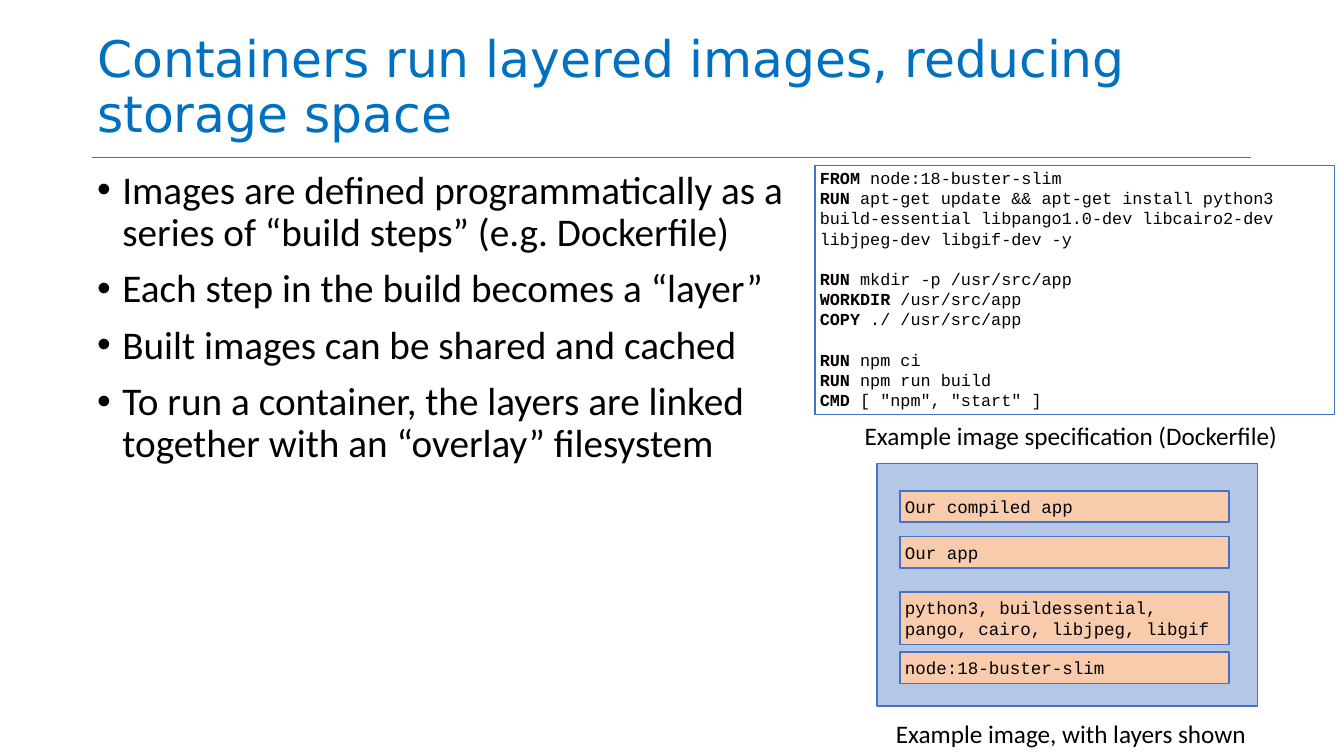
from pptx import Presentation
from pptx.dml.color import RGBColor
from pptx.enum.shapes import MSO_CONNECTOR, MSO_SHAPE
from pptx.enum.text import MSO_ANCHOR, PP_ALIGN
from pptx.oxml.ns import qn
from pptx.util import Inches, Pt
from lxml.etree import SubElement

BLUE, TITLE, BLACK = "4472C4", "0070C0", "000000"
PANEL, LAYER = "B4C7E7", "F8CBAD"
SANS, MONO, HEAD = "Calibri", "Courier New", "DejaVu Sans"

POINTS = [
    "Images are defined programmatically as a series of “build steps” (e.g. Dockerfile)",
    "Each step in the build becomes a “layer”",
    "Built images can be shared and cached",
    "To run a container, the layers are linked together with an “overlay” filesystem",
]

BLOCKS = [
    ["FROM node:18-buster-slim",
     "RUN apt-get update && apt-get install python3 build-essential "
     "libpango1.0-dev libcairo2-dev libjpeg-dev libgif-dev -y"],
    ["RUN mkdir -p /usr/src/app",
     "WORKDIR /usr/src/app",
     "COPY ./ /usr/src/app"],
    ["RUN npm ci",
     "RUN npm run build",
     'CMD [ "npm", "start" ]'],
]

LAYERS = [
    (12.94, 0.62, "node:18-buster-slim"),
    (11.75, 1.04, "python3, buildessential, pango, cairo, libjpeg, libgif"),
    (10.65, 0.62, "Our app"),
    (9.74, 0.62, "Our compiled app"),
]


def color(code):
    return RGBColor.from_string(code)


class Deck:
    def __init__(self, slide):
        self.slide = slide
        self.shapes = slide.shapes

    def style(self, para, size, font, ink=BLACK):
        para.alignment = PP_ALIGN.LEFT
        for run in para.runs:
            run.font.size = Pt(size)
            run.font.name = font
            run.font.color.rgb = color(ink)

    def frame(self, shape, anchor, pad=0.1):
        frame = shape.text_frame
        frame.word_wrap = True
        frame.vertical_anchor = anchor
        frame.margin_left = frame.margin_right = Inches(0.1)
        frame.margin_top = frame.margin_bottom = Inches(pad)
        return frame

    def text(self, area, words, size, font, ink=BLACK, anchor=MSO_ANCHOR.MIDDLE):
        box = self.shapes.add_textbox(*map(Inches, area))
        frame = self.frame(box, anchor)
        frame.text = words
        self.style(frame.paragraphs[0], size, font, ink)
        return frame

    def title(self, area, words):
        frame = self.text(area, words, 72, HEAD, TITLE, MSO_ANCHOR.BOTTOM)
        frame.paragraphs[0].line_spacing = 0.9

    def bullets(self, area, items):
        frame = self.text(area, "\n".join(items), 56, SANS, anchor=MSO_ANCHOR.TOP)
        for index, para in enumerate(frame.paragraphs):
            props = para._p.get_or_add_pPr()
            props.set("marL", str(Inches(0.5)))
            props.set("indent", str(Inches(-0.5)))
            SubElement(props, qn("a:buFont")).set("typeface", "Arial")
            SubElement(props, qn("a:buChar")).set("char", "•")
            para.line_spacing = 0.9
            para.space_before = Pt(20 if index else 0)
            self.style(para, 56, SANS)

    def rule(self, left, top, right):
        line = self.shapes.add_connector(
            MSO_CONNECTOR.STRAIGHT, Inches(left), Inches(top), Inches(right), Inches(top))
        line.line.color.rgb = color(BLUE)
        line.line.width = Pt(1)
        SubElement(line._element.spPr, qn("a:effectLst"))

    def rect(self, area, fill=None, group=None):
        shapes = group.shapes if group else self.shapes
        box = shapes.add_shape(MSO_SHAPE.RECTANGLE, *map(Inches, area))
        box.shadow.inherit = False
        if fill:
            box.fill.solid()
            box.fill.fore_color.rgb = color(fill)
        else:
            box.fill.background()
        box.line.color.rgb = color(BLUE)
        box.line.width = Pt(2)
        return box

    def code(self, area, blocks):
        frame = self.frame(self.rect(area), MSO_ANCHOR.TOP, 0.05)
        lines = [(row, line) for block in blocks for row, line in enumerate(block)]
        for index, (row, line) in enumerate(lines):
            para = frame.add_paragraph() if index else frame.paragraphs[0]
            key, rest = line.split(" ", 1)
            para.text = key
            para.add_run().text = " " + rest
            self.style(para, 24, MONO)
            para.runs[0].font.bold = True
            para.space_before = Pt(28.8 if index and row == 0 else 0)

    def stack(self, area, layers):
        group = self.shapes.add_group_shape()
        self.rect(area, PANEL, group)
        for top, height, words in layers:
            box = self.rect((17.86, top, 6.53, height), LAYER, group)
            frame = self.frame(box, MSO_ANCHOR.MIDDLE)
            frame.text = words
            self.style(frame.paragraphs[0], 25, MONO)


def main():
    show = Presentation()
    show.slide_width = Inches(26.67)
    show.slide_height = Inches(15)
    deck = Deck(show.slides.add_slide(show.slide_layouts[6]))
    deck.rule(1.83, 3.13, 24.83)
    deck.title((1.83, 0.04, 23, 2.9), "Containers run layered images, reducing storage space")
    deck.bullets((1.83, 3.28, 14.33, 9.52), POINTS)
    deck.code((16.17, 3.28, 10.31, 4.95), BLOCKS)
    deck.text((17.06, 8.23, 8.52, 0.81), "Example image specification (Dockerfile)", 36, SANS)
    deck.stack((17.4, 9.2, 7.55, 4.81), LAYERS)
    deck.text((17.68, 14.15, 7.28, 0.81), "Example image, with layers shown", 36, SANS)
    show.save("out.pptx")


if __name__ == "__main__":
    main()
